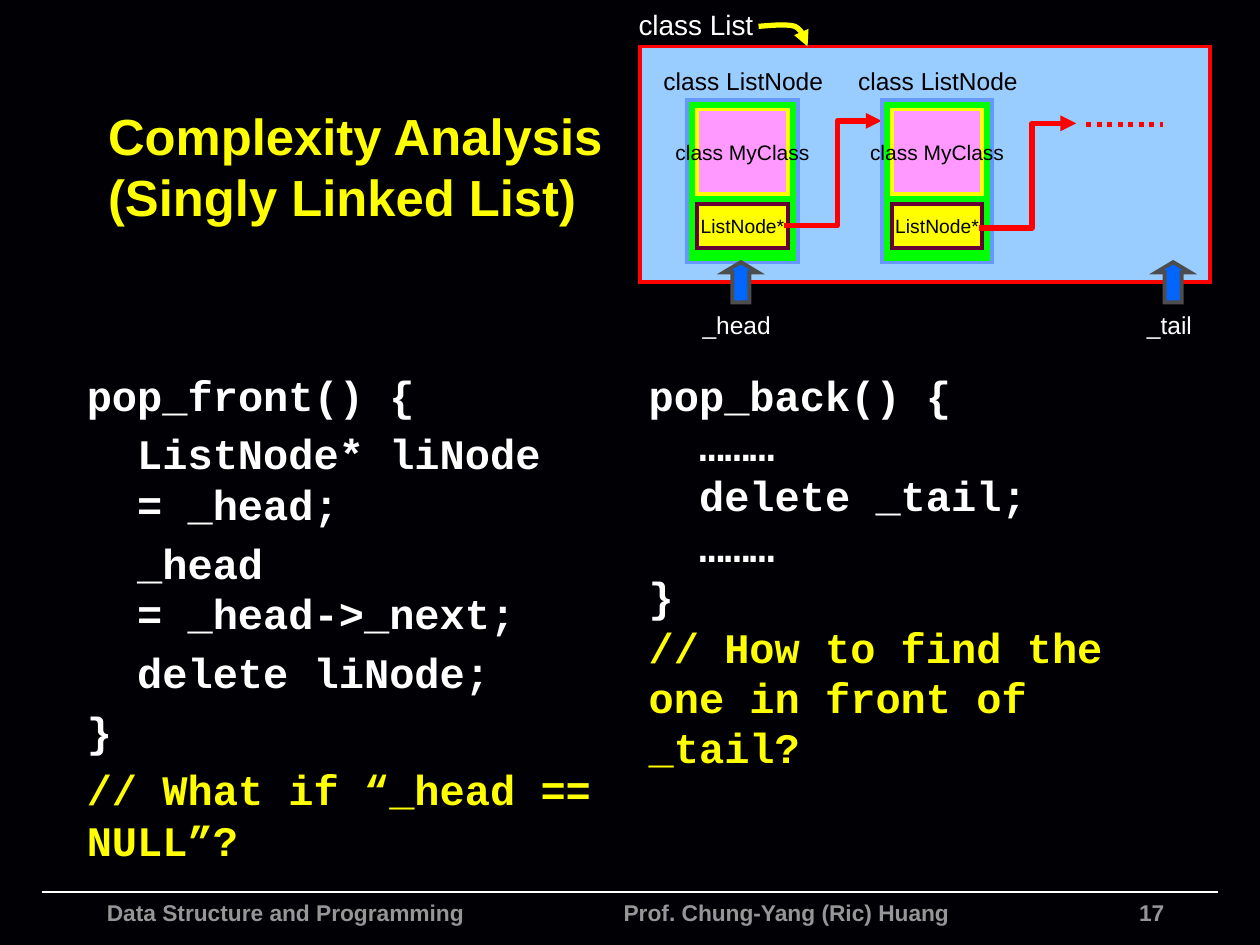
from dataclasses import dataclass
from typing import Optional

from lxml import etree
from pptx import Presentation
from pptx.dml.color import RGBColor
from pptx.enum import dml, shapes, text
from pptx.oxml import ns
from pptx.util import Pt

BLACK = RGBColor(0x00, 0x00, 0x00)
NIGHT = RGBColor(0x01, 0x00, 0x04)
WHITE = RGBColor(0xFF, 0xFF, 0xFF)
YELLOW = RGBColor(0xFF, 0xFF, 0x00)
RED = RGBColor(0xFF, 0x00, 0x00)
GREEN = RGBColor(0x00, 0xFF, 0x00)
PINK = RGBColor(0xFF, 0x99, 0xFF)
SKY = RGBColor(0x99, 0xCC, 0xFF)
STEEL = RGBColor(0x66, 0x99, 0xFF)
BLUE = RGBColor(0x00, 0x66, 0xFF)
WINE = RGBColor(0x66, 0x00, 0x33)
DARK_GREY = RGBColor(0x4D, 0x4D, 0x4D)
GREY = RGBColor(0x96, 0x96, 0x96)

RECT = shapes.MSO_SHAPE.RECTANGLE
LEFT, CENTER, RIGHT = text.PP_ALIGN.LEFT, text.PP_ALIGN.CENTER, text.PP_ALIGN.RIGHT
TOP, MIDDLE = text.MSO_ANCHOR.TOP, text.MSO_ANCHOR.MIDDLE
INDENT = 28.8
NODE_STEP = 111.2
FINE = 100


@dataclass
class Style:
    size: float
    color: RGBColor
    bold: bool = False
    font: str = "Arial"
    align: text.PP_ALIGN = LEFT
    anchor: text.MSO_ANCHOR = TOP
    wrap: bool = True
    inset: tuple = (7.2, 3.6)
    pitch: Optional[float] = None
    gap: float = 0


@dataclass
class Line:
    words: str
    indent: float = 0
    color: Optional[RGBColor] = None


def label(size: float, color: RGBColor, anchor=TOP) -> Style:
    return Style(size, color, align=CENTER, anchor=anchor, wrap=False, inset=(3.6, 3.6))


def put_text(sp, lines: list[Line], style: Style) -> None:
    tf = sp.text_frame
    dx, dy = style.inset
    frame = dict(margin_left=Pt(dx), margin_right=Pt(dx), margin_top=Pt(dy),
                 margin_bottom=Pt(dy), word_wrap=style.wrap,
                 vertical_anchor=style.anchor)
    for key, value in frame.items():
        setattr(tf, key, value)
    for i, line in enumerate(lines):
        p = tf.paragraphs[0] if i == 0 else tf.add_paragraph()
        p.text = line.words
        p.alignment = style.align
        p.space_before = Pt(style.gap)
        if style.pitch:
            p.line_spacing = Pt(style.pitch)
        if line.indent:
            p._p.get_or_add_pPr().set("marL", str(Pt(line.indent)))
        font = dict(size=Pt(style.size), bold=style.bold, name=style.font)
        for r in p.runs:
            for key, value in font.items():
                setattr(r.font, key, value)
            r.font.color.rgb = line.color or style.color


def add_text(s, box: tuple, lines: list[Line], style: Style):
    sp = s.shapes.add_textbox(*map(Pt, box))
    put_text(sp, lines, style)
    if not style.wrap:
        sp.text_frame.auto_size = text.MSO_AUTO_SIZE.SHAPE_TO_FIT_TEXT
    return sp


def add_block(s, kind, box: tuple, fill: RGBColor, line: RGBColor):
    sp = s.shapes.add_shape(kind, *map(Pt, box))
    sp.shadow.inherit = False
    sp.fill.solid()
    sp.fill.fore_color.rgb = fill
    sp.line.color.rgb = line
    sp.line.width = Pt(2.25)
    etree.SubElement(sp.line._get_or_add_ln(), ns.qn("a:miter"), lim="800000")
    return sp


def add_rule(s, start: tuple, end: tuple, color: RGBColor, width: float):
    sp = s.shapes.add_connector(shapes.MSO_CONNECTOR.STRAIGHT,
                                *map(Pt, start), *map(Pt, end))
    sp.line.color.rgb = color
    sp.line.width = Pt(width)
    etree.SubElement(sp._element.spPr, ns.qn("a:effectLst"))
    return sp


def add_arrow(s, points: list[tuple], color: RGBColor) -> None:
    start, *rest = [(x * FINE, y * FINE) for x, y in points]
    fb = s.shapes.build_freeform(*start, scale=Pt(1) / FINE)
    fb.add_line_segments(rest, close=False)
    sp = fb.convert_to_shape()
    sp.shadow.inherit = False
    sp.fill.background()
    sp.line.color.rgb = color
    sp.line.width = Pt(3)
    ln = sp.line._get_or_add_ln()
    etree.SubElement(ln, ns.qn("a:round"))
    etree.SubElement(ln, ns.qn("a:tailEnd"), type="triangle")


def bezier(a: tuple, b: tuple, c: tuple, d: tuple, steps: int = 12) -> list[tuple]:
    ts = [i / steps for i in range(steps + 1)]
    return [tuple((1 - t) ** 3 * w + 3 * t * (1 - t) ** 2 * x
                  + 3 * t * t * (1 - t) * y + t ** 3 * z
                  for w, x, y, z in zip(a, b, c, d)) for t in ts]


def add_node(s, x: float, link_y: float) -> None:
    add_block(s, RECT, (x, 57, 63, 93), GREEN, STEEL)
    add_text(s, (x - 17.3, 34, 98.6, 24.5), [Line("class ListNode")], label(14, BLACK))
    parts = [("class MyClass", 62.6, 48.2, PINK, YELLOW, 12),
             ("ListNode*", 116.6, 25.2, YELLOW, WINE, 11)]
    for words, y, h, fill, line, size in parts:
        sp = add_block(s, RECT, (x + 5.6, y, 51.8, h), fill, line)
        put_text(sp, [Line(words)], label(size, BLACK, MIDDLE))
    add_arrow(s, [(x + 55.4, link_y), (x + 85.7, link_y),
                  (x + 85.7, link_y - 59.8), (x + 111, link_y - 59.8)], RED)


def add_pointer(s, name: str, x: float, name_x: float, name_w: float) -> None:
    sp = add_block(s, shapes.MSO_SHAPE.UP_ARROW, (x, 149.8, 19.4, 23), BLUE, DARK_GREY)
    sp.adjustments[0], sp.adjustments[1] = 0.5, 0.3
    add_text(s, (name_x, 173.5, name_w, 24.5), [Line(name)], label(14, WHITE))


prs = Presentation()
prs.slide_width, prs.slide_height = Pt(720), Pt(540)
s = prs.slides.add_slide(prs.slide_layouts[6])
s.background.fill.solid()
s.background.fill.fore_color.rgb = NIGHT

add_rule(s, (23.8, 509.8), (696.2, 509.8), WHITE, 1)
add_text(s, (444.2, 509.8, 228.2, 13), [Line("17")], Style(13, GREY, True, align=RIGHT))
footer = add_text(s, (54, 509.8, 521.3, 30.2),
                  [Line("Data Structure and Programming\tProf. Chung-Yang (Ric) Huang")],
                  Style(13, GREY, True))
tabs = etree.SubElement(footer.text_frame.paragraphs[0]._p.get_or_add_pPr(),
                        ns.qn("a:tabLst"))
etree.SubElement(tabs, ns.qn("a:tab"), pos=str(Pt(295.3)), algn="l")

add_text(s, (54.7, 58.3, 636.5, 72.7),
         [Line("Complexity Analysis\v(Singly Linked List)")],
         Style(29, YELLOW, True, anchor=MIDDLE, pitch=34.9))

pop_front = [Line("pop_front() {"), Line("ListNode* liNode\v= _head;", INDENT),
             Line("_head\v= _head->_next;", INDENT), Line("delete liNode;", INDENT),
             Line("}"), Line("// What if “_head == NULL”?", color=YELLOW)]
pop_back = [Line("pop_back() {"), Line("………", INDENT), Line("delete _tail;", INDENT),
            Line("………", INDENT), Line("}"),
            Line("// How to find the one in front of _tail?", color=YELLOW)]
for x, w, code, gap in [(42.5, 308.9, pop_front, 4.8), (363.6, 300.2, pop_back, 0)]:
    add_text(s, (x, 207.4, w, 272.2), code,
             Style(24, WHITE, True, "Courier New", pitch=28.8, gap=gap))

add_block(s, RECT, (365.8, 26.6, 325.4, 134.6), SKY, RED)
add_text(s, (361, 0.5, 73.4, 26.6), [Line("class List")], label(16, WHITE))
add_arrow(s, bezier((433.5, 15.1), (442.1, 14.4), (449.3, 13.7), (454.3, 15.1))
          + bezier((454.3, 15.1), (458.6, 17.3), (460.1, 22.3), (461.5, 26.6))[1:], YELLOW)
for i, link_y in enumerate([128.9, 130.3]):
    add_node(s, 392.8 + i * NODE_STEP, link_y)
dots = add_rule(s, (620.6, 71.3), (664.6, 71.3), RED, 3)
dots.line.dash_style = dml.MSO_LINE.ROUND_DOT
add_pointer(s, "_head", 413.7, 397, 48)
add_pointer(s, "_tail", 660.7, 650.3, 36)

prs.save("out.pptx")
